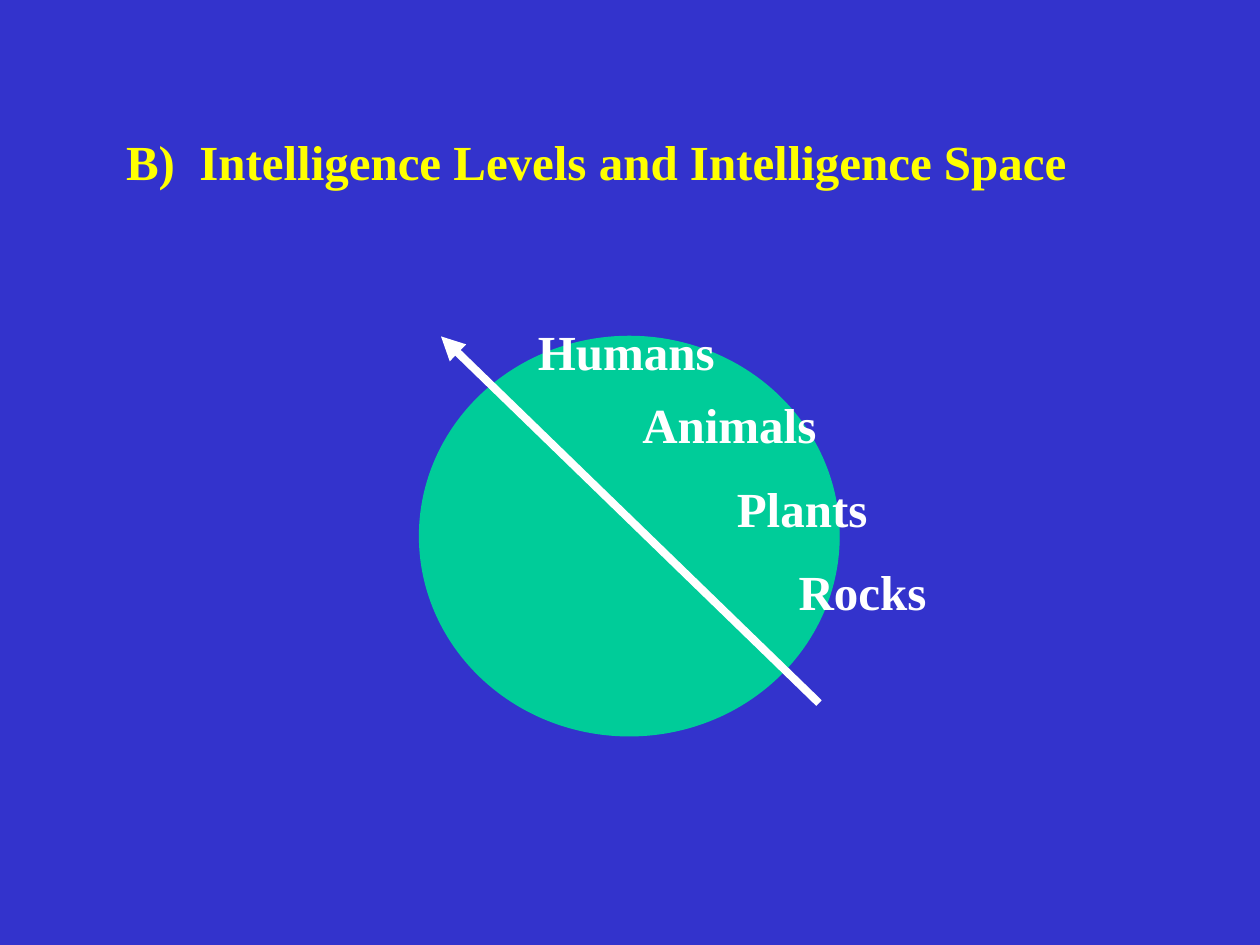
from lxml.etree import SubElement
from pptx import Presentation
from pptx.dml.color import RGBColor
from pptx.enum.shapes import MSO_CONNECTOR, MSO_SHAPE
from pptx.enum.text import MSO_ANCHOR, PP_ALIGN
from pptx.oxml.ns import qn
from pptx.util import Inches, Pt

COLORS = {"back": "3333CC", "title": "FFFF00", "disc": "00CC99", "white": "FFFFFF"}
FONT = "Times New Roman"
TITLE = "B)  Intelligence Levels and Intelligence Space"
TEXT_HEIGHT = 0.57

# Label, left, top, width
LEVELS = [
    ("Humans", 4.17, 2.5, 1.65),
    ("Animals", 5, 3.08, 1.63),
    ("Plants", 5.75, 3.75, 1.28),
    ("Rocks", 6.24, 4.41, 1.26),
]


def rgb(name):
    return RGBColor.from_string(COLORS[name])


def place(*sizes):
    return [Inches(size) for size in sizes]


def write(box, text, color="white", size=28, bold=True):
    frame = box.text_frame
    frame.word_wrap = True
    frame.vertical_anchor = MSO_ANCHOR.TOP
    para = frame.paragraphs[0]
    para.text = text
    para.alignment = PP_ALIGN.LEFT
    para.line_spacing = 1
    font = para.font
    font.name, font.size, font.bold = FONT, Pt(size), bold
    font.color.rgb = rgb(color)


def add_disc(slide):
    disc = slide.shapes.add_shape(MSO_SHAPE.OVAL, *place(3.33, 2.67, 3.33, 3.17))
    disc.shadow.inherit = False
    disc.fill.solid()
    disc.fill.fore_color.rgb = rgb("disc")
    disc.line.color.rgb = rgb("disc")
    disc.line.width = Pt(0.75)


def add_arrow(slide):
    """Draw the level axis, with its head at the upper left."""
    arrow = slide.shapes.add_connector(
        MSO_CONNECTOR.STRAIGHT, *place(6.5, 5.58, 3.5, 2.67))
    arrow.line.color.rgb = rgb("white")
    arrow.line.width = Pt(4.5)
    line = arrow._element.spPr.find(qn("a:ln"))
    SubElement(line, qn("a:tailEnd"), type="triangle")
    SubElement(arrow._element.spPr, qn("a:effectLst"))


def main():
    deck = Presentation()
    deck.slide_width, deck.slide_height = place(10, 7.5)
    slide = deck.slides.add_slide(deck.slide_layouts[5])
    slide.background.fill.solid()
    slide.background.fill.fore_color.rgb = rgb("back")

    title = slide.shapes.title
    title.left, title.top, title.width, title.height = place(
        0.9, 0.99, 7.75, TEXT_HEIGHT)
    write(title, TITLE, color="title")

    add_disc(slide)
    add_arrow(slide)
    for label, left, top, width in LEVELS:
        box = slide.shapes.add_textbox(*place(left, top, width, TEXT_HEIGHT))
        write(box, label)

    deck.save("out.pptx")


if __name__ == "__main__":
    main()
